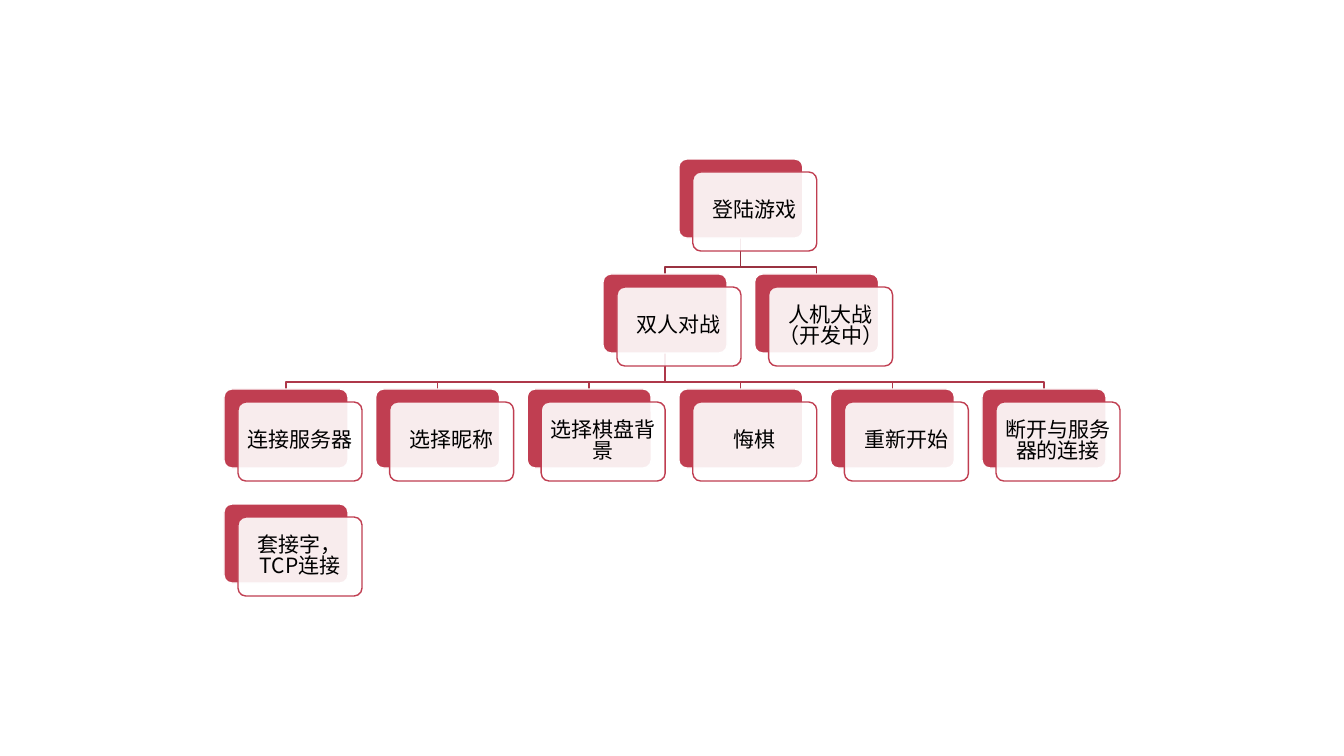
import pptx
import pptx.util
import pptx.dml.color
import pptx.enum.shapes
import pptx.enum.text
import pptx.oxml.ns
import lxml.etree

RED, WHITE, BLACK = "C03E51", "FFFFFF", "000000"
FONT = "Noto Sans CJK SC"
NODES = {
    "登陆游戏": (3, 0),
    "双人对战": (2.5, 1),
    "人机大战（开发中）": (3.5, 1),
    "连接服务器": (0, 2),
    "选择昵称": (1, 2),
    "选择棋盘背景": (2, 2),
    "悔棋": (3, 2),
    "重新开始": (4, 2),
    "断开与服务器的连接": (5, 2),
    "套接字，TCP连接": (0, 3),
}
LINKS = [
    ("登陆游戏", "9A3241", ["双人对战", "人机大战（开发中）"]),
    ("双人对战", "AE384A", ["连接服务器", "选择昵称", "选择棋盘背景",
                          "悔棋", "重新开始", "断开与服务器的连接"]),
]

LEFT, TOP, SPAN, ROW = 224, 159, 758, 115
WIDE, HIGH = 124, 79
SHIFT, DROP = 14, 13
BEND, PAD = 29, 6
SCALE = 914400 / 100.8


def px(n):
    return pptx.util.Emu(round(n * SCALE))


def color(code):
    return pptx.dml.color.RGBColor.from_string(code)


def place(name):
    col, row = NODES[name]
    return LEFT + col * SPAN / 5, TOP + row * ROW


def link(upper, lower, code):
    left, top = place(upper)
    x, y = left + WIDE / 2, top + HIGH
    left, end = place(lower)
    mid = left + WIDE / 2
    pen = slide.shapes.build_freeform(px(x), px(y))
    pen.add_line_segments([(px(x), px(y + BEND)), (px(mid), px(y + BEND)),
                           (px(mid), px(end))], close=False)
    line = pen.convert_to_shape()
    line.shadow.inherit = False
    line.fill.background()
    line.line.color.rgb = color(code)
    line.line.width = pptx.util.Pt(1)


def card(x, y, fill, edge):
    box = slide.shapes.add_shape(
        pptx.enum.shapes.MSO_SHAPE.ROUNDED_RECTANGLE,
        px(x), px(y), px(WIDE), px(HIGH))
    box.adjustments[0] = 0.1
    box.shadow.inherit = False
    box.fill.solid()
    box.fill.fore_color.rgb = color(fill)
    box.line.color.rgb = color(edge)
    box.line.width = pptx.util.Pt(1)
    return box


def label(box, text):
    frame = box.text_frame
    frame.text = text
    frame.word_wrap = True
    frame.vertical_anchor = pptx.enum.text.MSO_ANCHOR.MIDDLE
    frame.margin_left = frame.margin_right = px(PAD)
    frame.margin_top = frame.margin_bottom = px(PAD)
    para = frame.paragraphs[0]
    para.alignment = pptx.enum.text.PP_ALIGN.CENTER
    para.line_spacing = 0.84
    run = para.runs[0]
    run.font.size = pptx.util.Pt(15)
    run.font.color.rgb = color(BLACK)
    run.font.name = FONT
    east = lxml.etree.SubElement(run.font._element, pptx.oxml.ns.qn("a:ea"))
    east.set("typeface", FONT)


def fade(box, share):
    tint = box.fill._xPr.find(".//" + pptx.oxml.ns.qn("a:srgbClr"))
    alpha = lxml.etree.SubElement(tint, pptx.oxml.ns.qn("a:alpha"))
    alpha.set("val", str(share * 1000))


deck = pptx.Presentation()
deck.slide_width, deck.slide_height = px(1344), px(756)
slide = deck.slides.add_slide(deck.slide_layouts[6])

for upper, code, lowers in LINKS:
    for lower in lowers:
        link(upper, lower, code)

for name in NODES:
    x, y = place(name)
    card(x, y, RED, WHITE)
    front = card(x + SHIFT, y + DROP, WHITE, RED)
    fade(front, 90)
    label(front, name)

deck.save("out.pptx")
